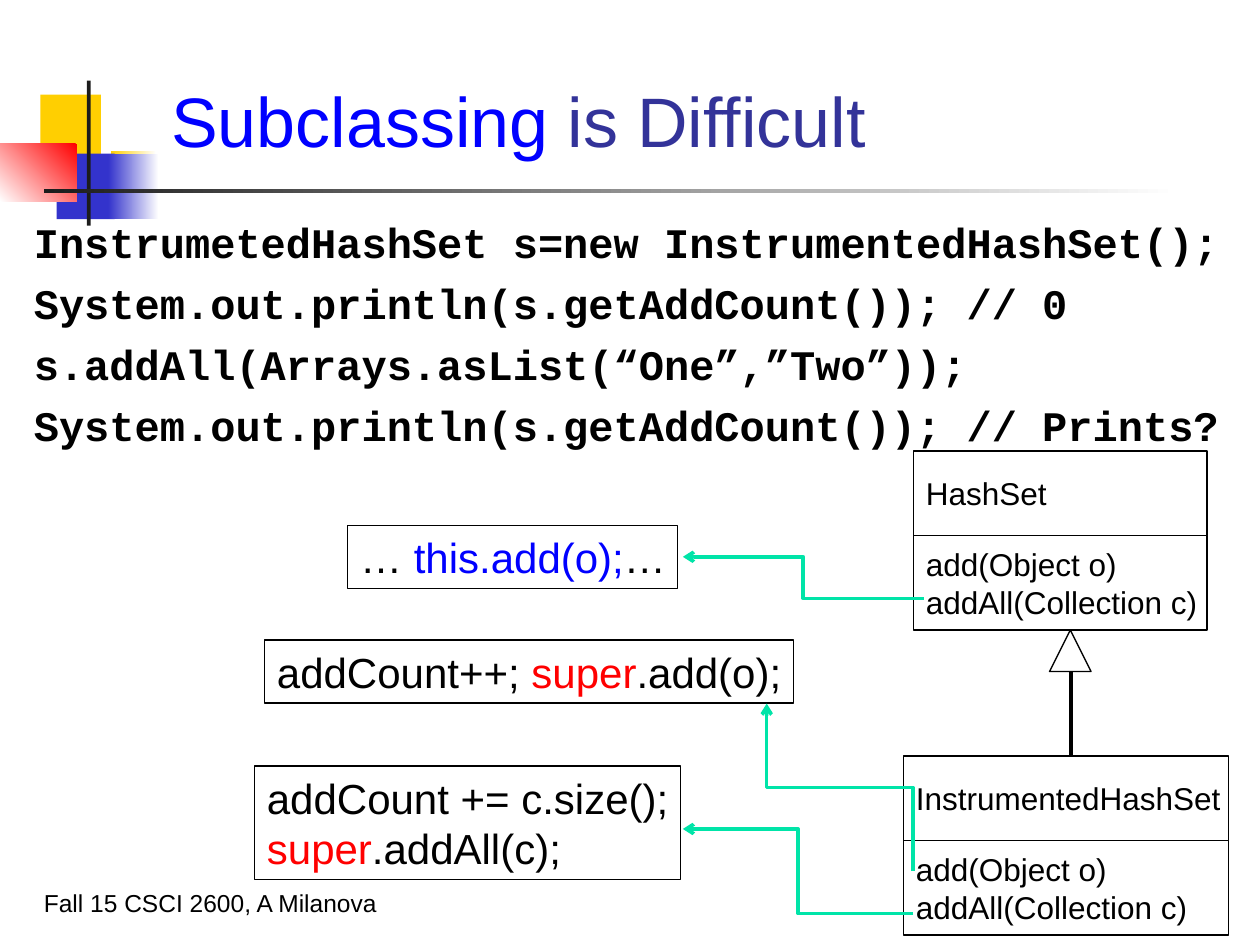
import pptx
import pptx.dml.color
import pptx.enum.shapes
import pptx.enum.text
import pptx.oxml
import pptx.oxml.ns
import pptx.util
from pptx.util import Inches

COLORS = {
    "white": "FFFFFF", "black": "000000", "charcoal": "1C1C1C",
    "yellow": "FFCF01", "indigo": "3333CC", "red": "FF0000",
    "blue": "0000FF", "title": "333399", "mint": "00E4A8",
}
SHAPES = pptx.enum.shapes.MSO_SHAPE
CONNECTORS = pptx.enum.shapes.MSO_CONNECTOR
ANCHORS = pptx.enum.text.MSO_ANCHOR
METHODS = [[("add(Object o)", "black")], [("addAll(Collection c)", "black")]]


def rgb(color):
    return pptx.dml.color.RGBColor.from_string(COLORS[color])


def write(frame, lines, size, anchor, font="Arial", bold=False, before=0, wrap=True):
    frame.word_wrap = wrap
    frame.vertical_anchor = anchor
    for index, line in enumerate(lines):
        paragraph = frame.paragraphs[0] if index == 0 else frame.add_paragraph()
        paragraph.alignment = pptx.enum.text.PP_ALIGN.LEFT
        paragraph.space_before = pptx.util.Pt(before)
        for words, color in line:
            run = paragraph.add_run()
            run.text = words
            run.font.name = font
            run.font.size = pptx.util.Pt(size)
            run.font.bold = bold
            run.font.color.rgb = rgb(color)


def add_text(slide, place, lines, size, anchor, **style):
    label = slide.shapes.add_textbox(*map(Inches, place))
    write(label.text_frame, lines, size, anchor, **style)


def add_block(slide, place, fill=None, outlined=False, kind=SHAPES.RECTANGLE):
    block = slide.shapes.add_shape(kind, *map(Inches, place))
    block.shadow.inherit = False
    if fill:
        block.fill.solid()
        block.fill.fore_color.rgb = rgb(fill)
    else:
        block.fill.background()
    if outlined:
        block.line.color.rgb = rgb("black")
        block.line.width = pptx.util.Pt(0.75)
    else:
        block.line.fill.background()
    return block


def add_fade(slide, place, start, end, angle=180):
    fill = add_block(slide, place).fill
    fill.gradient()
    fill.gradient_angle = angle
    for stop, color in zip(fill.gradient_stops, (start, end)):
        stop.color.rgb = rgb(color)


def add_line(slide, kind, start, end, color):
    line = slide.shapes.add_connector(kind, *map(Inches, start + end))
    line.line.color.rgb = rgb(color)
    line.line.width = pptx.util.Pt(2)
    properties = line._element.spPr
    properties.append(pptx.oxml.parse_xml(
        f"<a:effectLst {pptx.oxml.ns.nsdecls('a')}/>"))
    return line


def add_call_arrow(slide, start, end, turn=0):
    arrow = add_line(slide, CONNECTORS.ELBOW, start, end, "mint")
    arrow.line._get_or_add_ln().append(pptx.oxml.parse_xml(
        f"<a:tailEnd {pptx.oxml.ns.nsdecls('a')} type='arrow'/>"))
    if turn:
        arrow._element.spPr.xfrm.set("rot", str(turn * 60000))


def add_class(slide, name, left, top, width):
    parts = [(top, 0.67, [[(name, "black")]]), (top + 0.67, 0.75, METHODS)]
    for part_top, height, lines in parts:
        part = add_block(slide, (left, part_top, width, height), "white", True)
        write(part.text_frame, lines, 18, ANCHORS.MIDDLE, wrap=False)


def add_code_box(slide, place, lines):
    box = add_block(slide, place, outlined=True)
    write(box.text_frame, lines, 24, ANCHORS.TOP, wrap=False)


def add_decoration(slide):
    add_block(slide, (0.32, 0.75, 0.48, 0.52), "yellow")
    add_fade(slide, (0.88, 1.2, 0.36, 0.52), "white", "yellow")
    add_block(slide, (0.45, 1.22, 0.46, 0.52), "indigo")
    add_fade(slide, (0.86, 1.22, 0.4, 0.52), "white", "indigo")
    add_fade(slide, (0, 1.14, 0.61, 0.46), "red", "white", 225)
    add_block(slide, (0.69, 0.64, 0.03, 1.15), "charcoal")
    add_fade(slide, (0.35, 1.5, 9, 0.03), "white", "charcoal")


def main():
    deck = pptx.Presentation()
    deck.slide_width, deck.slide_height = Inches(10), Inches(7.5)
    slide = deck.slides.add_slide(deck.slide_layouts[6])

    add_decoration(slide)
    add_text(slide, (1.26, 0.23, 8.52, 1.1),
             [[("Subclassing", "blue"), (" is Difficult", "title")]], 40, ANCHORS.BOTTOM)
    program = [
        "InstrumetedHashSet s=new InstrumentedHashSet();",
        "System.out.println(s.getAddCount()); // 0",
        "s.addAll(Arrays.asList(“One”,”Two”));",
        "System.out.println(s.getAddCount()); // Prints?",
    ]
    add_text(slide, (0.17, 1.67, 9.75, 4.96), [[(line, "black")] for line in program],
             24, ANCHORS.TOP, font="Courier New", bold=True, before=6)
    add_text(slide, (0.25, 6.83, 5.17, 0.5),
             [[("Fall 15 CSCI 2600, A Milanova", "black")]], 14, ANCHORS.BOTTOM)

    add_class(slide, "HashSet", 7.25, 3.58, 2.33)
    add_class(slide, "InstrumentedHashSet", 7.17, 6, 2.58)
    add_block(slide, (8.33, 5, 0.33, 0.33), "white", True, SHAPES.ISOSCELES_TRIANGLE)
    add_line(slide, CONNECTORS.STRAIGHT, (8.5, 5.33), (8.5, 6), "black")

    add_code_box(slide, (2.02, 6.08, 3.38, 0.9),
                 [[("addCount += c.size();", "black")],
                  [("super", "red"), (".addAll(c);", "black")]])
    add_code_box(slide, (2.76, 4.17, 2.62, 0.5),
                 [[("… ", "black"), ("this.add(o);", "blue"), ("…", "black")]])
    add_code_box(slide, (2.1, 5.08, 4.2, 0.5),
                 [[("addCount++; ", "black"), ("super", "red"), (".add(o);", "black")]])

    add_call_arrow(slide, (7.33, 4.75), (5.42, 4.42))
    add_call_arrow(slide, (7.25, 7.25), (5.42, 6.58))
    add_call_arrow(slide, (6, 6.83), (7.33, 5.67), turn=270)

    deck.save("out.pptx")


if __name__ == "__main__":
    main()
